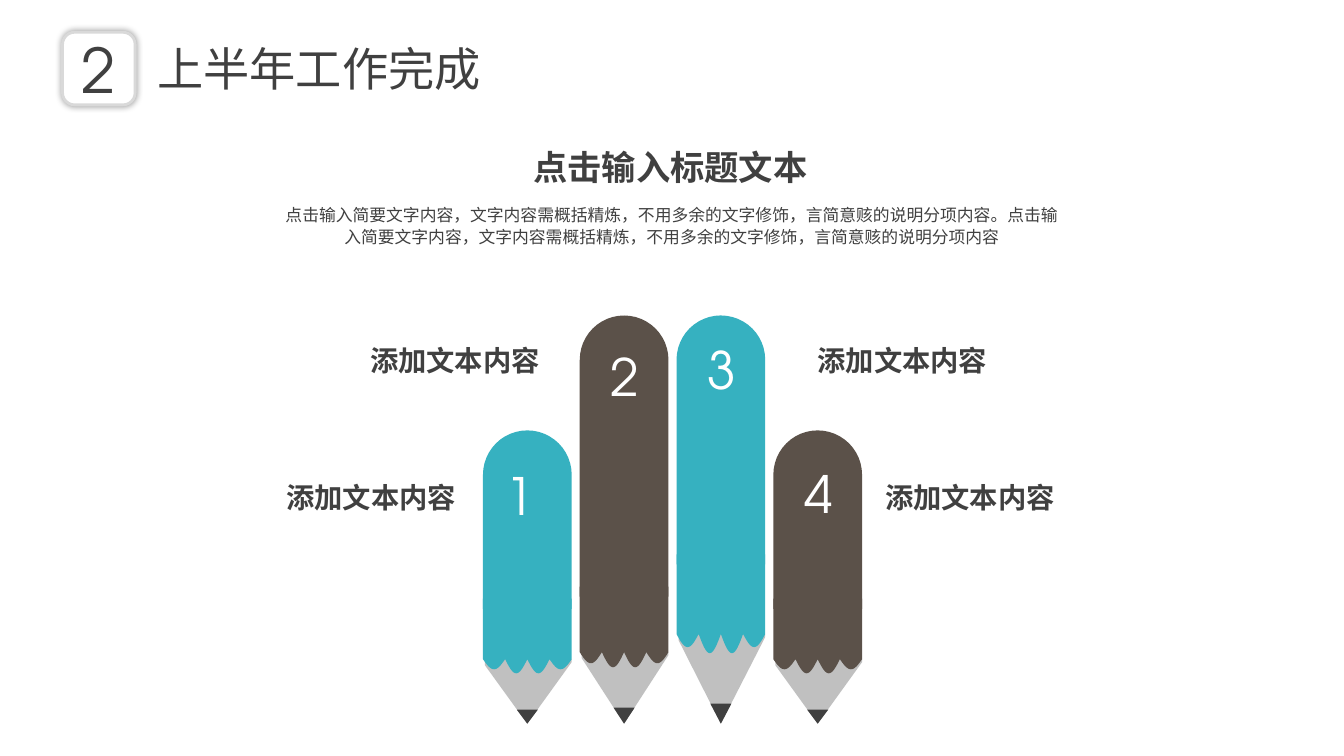
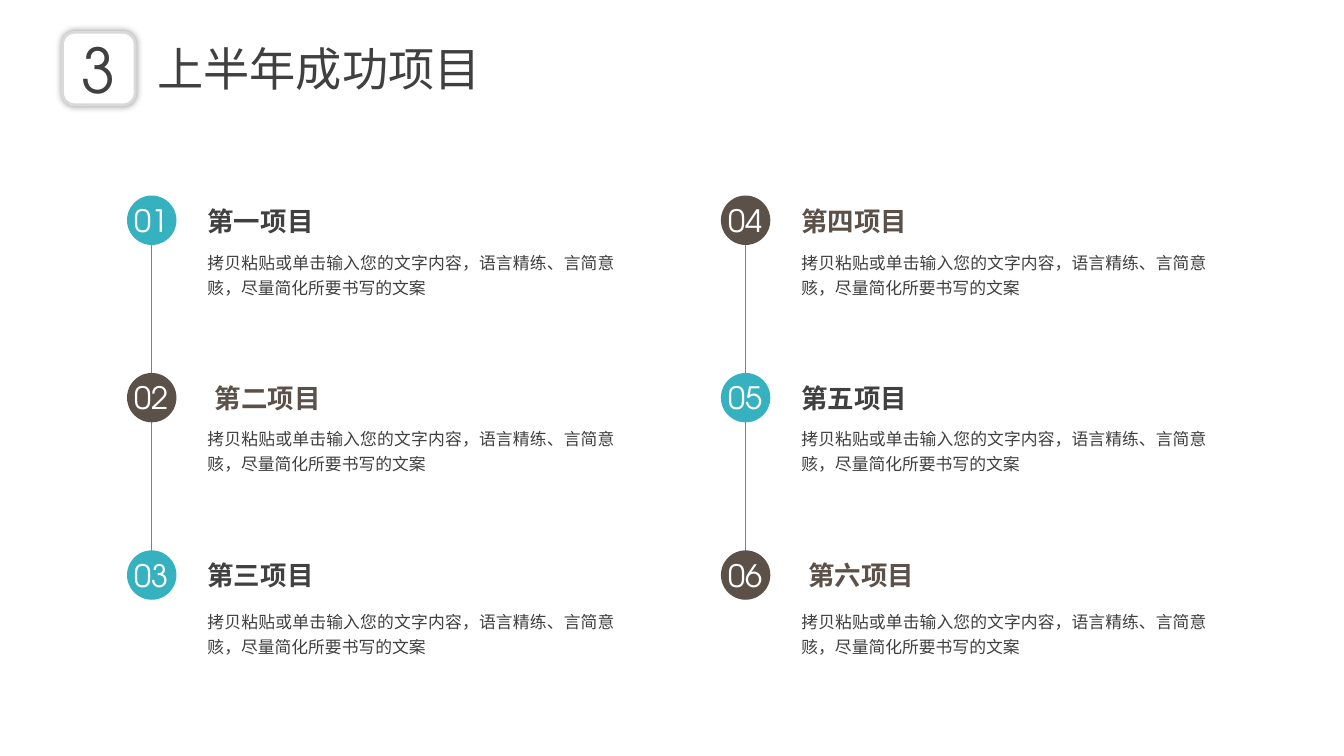
from math import pi, sin

from lxml.etree import SubElement
from pptx import Presentation
from pptx.dml.color import RGBColor
from pptx.enum.shapes import MSO_CONNECTOR, MSO_SHAPE
from pptx.enum.text import MSO_ANCHOR, MSO_AUTO_SIZE, PP_ALIGN
from pptx.oxml.ns import qn
from pptx.util import Emu, Pt

EMU_PER_PX = 9144  # 100 px to the inch

TEAL = RGBColor(0x36, 0xB1, 0xC0)
BROWN = RGBColor(0x5B, 0x51, 0x49)
DARK = RGBColor(0x40, 0x40, 0x40)
GRAY = RGBColor(0x80, 0x80, 0x80)
WOOD = RGBColor(0xA6, 0xA6, 0xA6)
BORDER = RGBColor(0xD9, 0xD9, 0xD9)
WHITE = RGBColor(0xFF, 0xFF, 0xFF)

LATIN_FONT = "TeX Gyre Adventor"
CHINESE_FONT = "Noto Sans CJK SC"

PENCIL_WIDTH = 88
PENCIL_STEP = 96
PENCIL_TIP = 718
LEAD_WIDTH = 21
# colour, top, cap height, scallop top, outer and inner scallop depth,
# lead top, number left, number top
PENCILS = [
    (TEAL, 427, 177, 654, 10, 14, 704, 487, 460),
    (BROWN, 313, 279, 647, 11, 15, 702, 591, 342),
    (TEAL, 313, 247, 629, 13, 19, 698, 687, 335),
    (BROWN, 427, 177, 654, 10, 14, 704, 783, 458),
]
PENCIL_LABELS = [
    (266, 476, PP_ALIGN.RIGHT),
    (349, 341, PP_ALIGN.RIGHT),
    (811, 341, PP_ALIGN.LEFT),
    (878, 476, PP_ALIGN.LEFT),
]

CIRCLE = 49
ROW_TOPS = [194, 370, 546]
DETAIL_TOPS = [241, 415, 597]
# column left, detail width, first colour, second colour, (heading, indent)
PROJECT_COLUMNS = [
    (126, 424, TEAL, BROWN, [("第一项目", 0), ("第二项目", 7), ("第三项目", 0)]),
    (715, 422, BROWN, TEAL, [("第四项目", 0), ("第五项目", 0), ("第六项目", 7)]),
]
PROJECT_DETAIL = "拷贝粘贴或单击输入您的文字内容，语言精练、言简意赅，尽量简化所要书写的文案"
SUMMARY = (
    "点击输入简要文字内容，文字内容需概括精炼，不用多余的文字修饰，言简意赅的说明分项内容。"
    "点击输入简要文字内容，文字内容需概括精炼，不用多余的文字修饰，言简意赅的说明分项内容"
)


def px(*lengths):
    """Turn px into EMU: one value for one length, else a list."""
    values = [Emu(round(length * EMU_PER_PX)) for length in lengths]
    return values[0] if len(values) == 1 else values


def write(frame, text, size, color, bold=False, align=PP_ALIGN.LEFT,
          latin=LATIN_FONT, spacing=None):
    para = frame.paragraphs[0]
    para.text = text
    para.alignment = align
    if spacing:
        para.line_spacing = Pt(spacing)
    font = para.runs[0].font
    font.size, font.bold, font.name = Pt(size), bold, latin
    font.color.rgb = color
    SubElement(para.runs[0].font._element, qn("a:ea"), typeface=CHINESE_FONT)


def clear_margins(frame):
    frame.margin_left = frame.margin_top = 0
    frame.margin_right = frame.margin_bottom = 0


def add_text(slide, area, text, size, color=DARK, inset=False, wrap=True, **style):
    frame = slide.shapes.add_textbox(*px(*area)).text_frame
    frame.word_wrap = wrap
    if not inset:
        clear_margins(frame)
    write(frame, text, size, color, **style)


def paint(shape, color, alpha=None):
    shape.shadow.inherit = False
    shape.fill.solid()
    shape.fill.fore_color.rgb = color
    shape.line.fill.background()
    if alpha:
        tint = shape._element.spPr.find(qn("a:solidFill"))[0]
        SubElement(tint, qn("a:alpha"), val=str(alpha * 1000))


def add_outline(shapes, points, color, alpha=None):
    corners = [px(*point) for point in points]
    builder = shapes.build_freeform(*corners[0])
    builder.add_line_segments(corners[1:], close=True)
    paint(builder.convert_to_shape(), color, alpha)


def add_preset(shapes, kind, area, color):
    shape = shapes.add_shape(kind, *px(*area))
    paint(shape, color)
    return shape


def add_glow(shape):
    """Give the shape a soft shadow on all sides."""
    effects = shape._element.spPr.find(qn("a:effectLst"))
    shadow = SubElement(effects, qn("a:outerShdw"), blurRad=str(Pt(5)),
                        dist="0", dir="0", algn="ctr", rotWithShape="0")
    black = SubElement(shadow, qn("a:srgbClr"), val="000000")
    SubElement(black, qn("a:alpha"), val="40000")


def add_titled_slide(deck, number, heading):
    """Add a slide with its title and numbered badge."""
    slide = deck.slides.add_slide(deck.slide_layouts[5])
    title = slide.shapes.title
    title.left, title.top, title.width, title.height = px(146, 35, 344, 66)
    frame = title.text_frame
    frame.word_wrap = False
    frame.auto_size = MSO_AUTO_SIZE.NONE
    frame.vertical_anchor = MSO_ANCHOR.TOP
    write(frame, heading, 33, DARK, latin=CHINESE_FONT)

    badge = add_preset(slide.shapes, MSO_SHAPE.ROUNDED_RECTANGLE,
                       (62, 32, 72, 72), WHITE)
    badge.line.color.rgb = BORDER
    badge.line.width = Pt(2)
    add_glow(badge)
    badge.text_frame.vertical_anchor = MSO_ANCHOR.MIDDLE
    write(badge.text_frame, number, 44, DARK, align=PP_ALIGN.CENTER)
    return slide


def scallops(left, top, outer_depth, inner_depth, steps=16):
    """Points of four half-round waves, from left to right."""
    width = PENCIL_WIDTH / 4
    depths = [outer_depth, inner_depth, inner_depth, outer_depth]
    return [
        (left + width * (index + step / steps), top + depth * sin(pi * step / steps))
        for index, depth in enumerate(depths)
        for step in range(steps + 1)
    ]


def add_pencil(slide, left, color, top, cap_height, wave_top, outer, inner, lead_top):
    shapes = slide.shapes.add_group_shape().shapes
    right, middle = left + PENCIL_WIDTH, left + PENCIL_WIDTH / 2
    body_top = top + cap_height - 10

    add_outline(shapes, [(left + 2, wave_top), (right, wave_top),
                         (right, wave_top + 3), (middle, PENCIL_TIP),
                         (left + 2, wave_top + 6)], WOOD, alpha=70)
    add_outline(shapes, [(right, body_top), (left, body_top),
                         *scallops(left, wave_top, outer, inner)], color)
    add_outline(shapes, [(middle - LEAD_WIDTH / 2, lead_top),
                         (middle + LEAD_WIDTH / 2, lead_top),
                         (middle, PENCIL_TIP)], DARK)
    cap = add_preset(shapes, MSO_SHAPE.ROUND_2_SAME_RECTANGLE,
                     (left, top, PENCIL_WIDTH, cap_height), color)
    cap.adjustments[0] = 0.5


def add_line(slide, x, top, bottom):
    line = slide.shapes.add_connector(MSO_CONNECTOR.STRAIGHT, *px(x, top, x, bottom))
    line.line.color.rgb = GRAY
    line.line.width = Pt(0.75)
    SubElement(line._element.spPr, qn("a:effectLst"))


def add_numbered_circle(slide, left, top, number, color):
    circle = add_preset(slide.shapes, MSO_SHAPE.OVAL, (left, top, CIRCLE, CIRCLE), color)
    frame = circle.text_frame
    clear_margins(frame)
    frame.vertical_anchor = MSO_ANCHOR.MIDDLE
    write(frame, number, 22, WHITE, align=PP_ALIGN.CENTER)


def build_work_slide(deck):
    slide = add_titled_slide(deck, "2", "上半年工作完成")
    add_text(slide, (529, 145, 276, 41), "点击输入标题文本", 24.5, bold=True)
    add_text(slide, (281, 201, 771, 45), SUMMARY, 12,
             align=PP_ALIGN.CENTER, spacing=16)
    for left, top, align in PENCIL_LABELS:
        add_text(slide, (left, top, 186, 34), "添加文本内容", 20.2,
                 bold=True, align=align)
    for index, (*pencil, number_left, number_top) in enumerate(PENCILS):
        add_pencil(slide, 479 + PENCIL_STEP * index, *pencil)
        add_text(slide, (number_left, number_top, 58, 62), str(index + 1), 36.8,
                 WHITE, align=PP_ALIGN.CENTER)


def build_projects_slide(deck):
    slide = add_titled_slide(deck, "3", "上半年成功项目")
    number = 0
    for left, width, first, second, headings in PROJECT_COLUMNS:
        for top, next_top in zip(ROW_TOPS, ROW_TOPS[1:]):
            add_line(slide, left + 24, top + 39, next_top + 11)
        text_left = left + 70
        for row, (heading, indent) in enumerate(headings):
            number += 1
            top = ROW_TOPS[row]
            color = second if row % 2 else first
            add_numbered_circle(slide, left, top, f"{number:02}", color)
            add_text(slide, (text_left + indent, top + 4, 126, 42), heading, 18.9,
                     BROWN if color == BROWN else DARK,
                     inset=True, wrap=False, bold=True)
            add_text(slide, (text_left, DETAIL_TOPS[row], width, 58), PROJECT_DETAIL,
                     12, inset=True, align=PP_ALIGN.JUSTIFY, spacing=18)


def main():
    deck = Presentation()
    deck.slide_width, deck.slide_height = px(1333, 750)
    build_work_slide(deck)
    build_projects_slide(deck)
    deck.save("out.pptx")


if __name__ == "__main__":
    main()
